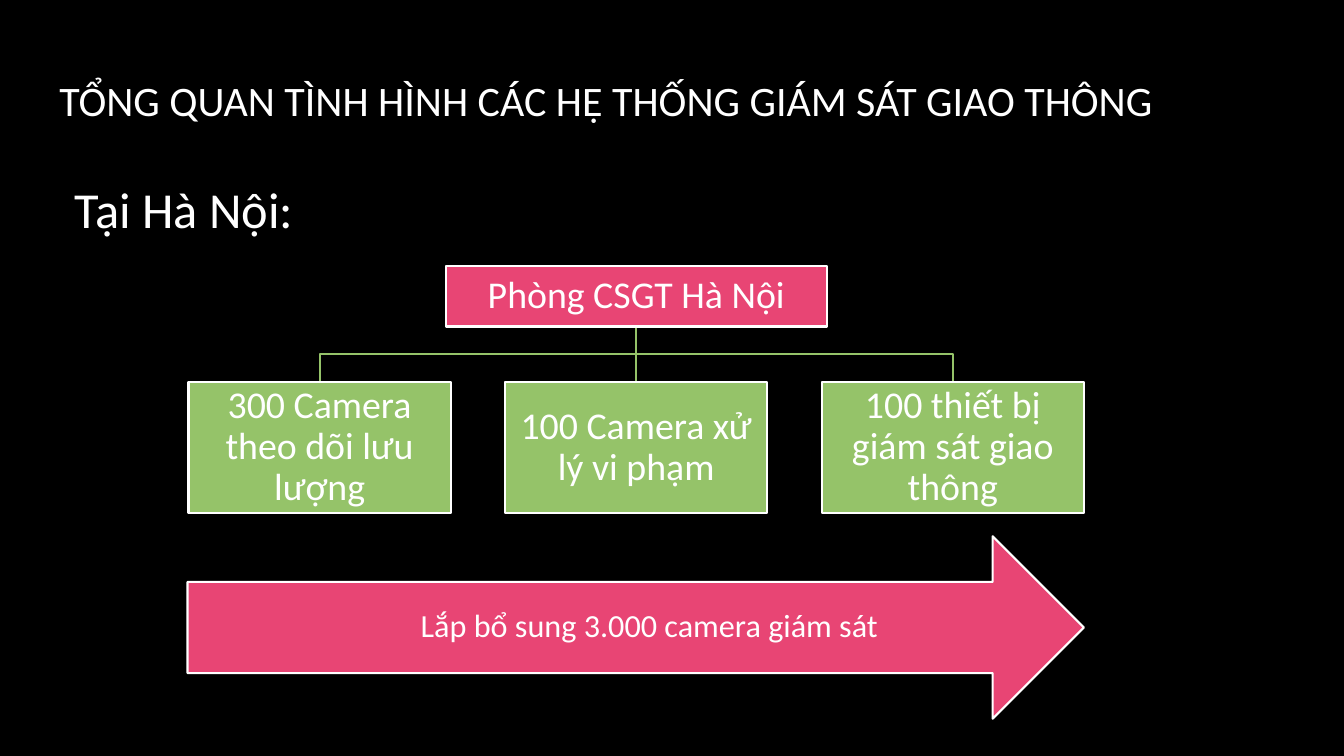
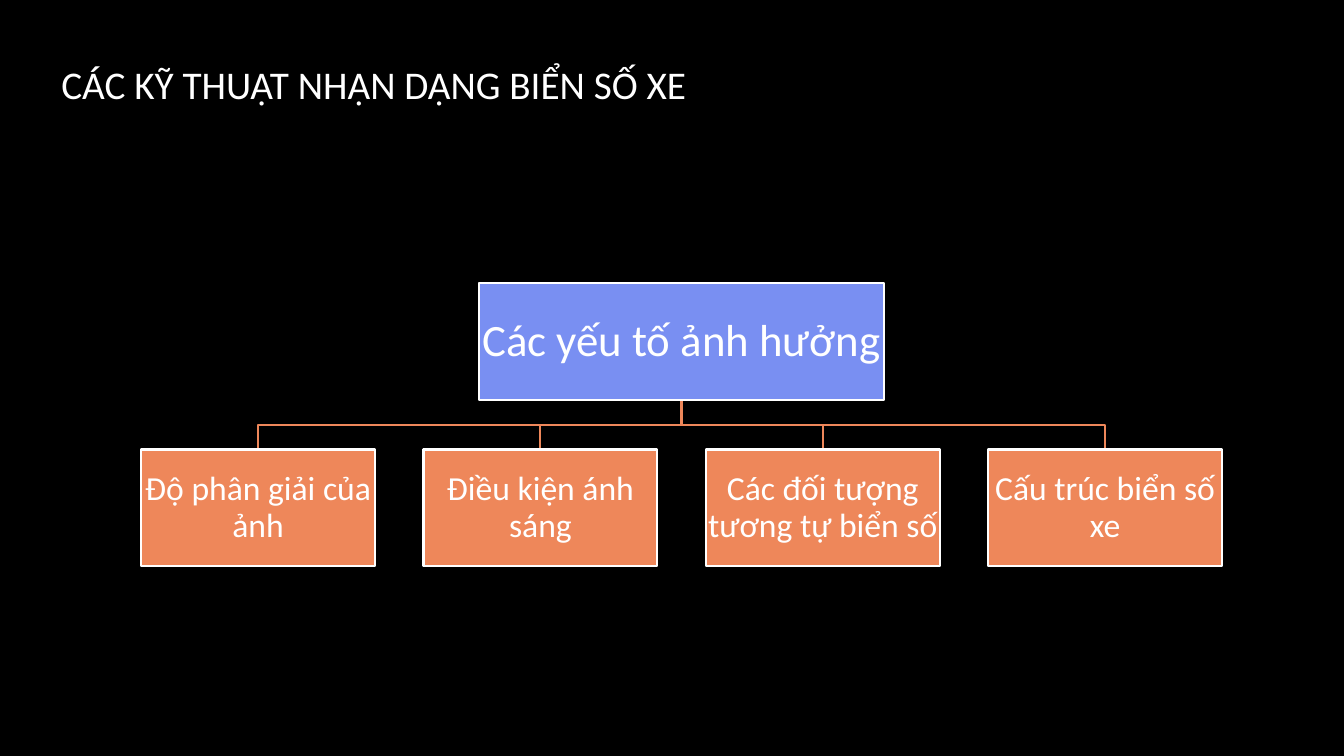
import pptx
import pptx.util
from lxml import etree
from pptx.dml.color import RGBColor
from pptx.enum.shapes import MSO_CONNECTOR, MSO_SHAPE
from pptx.enum.text import MSO_ANCHOR, PP_ALIGN
from pptx.oxml.ns import qn

Inches = pptx.util.Inches
Pt = pptx.util.Pt

BLACK = RGBColor(0x00, 0x00, 0x00)
WHITE = RGBColor(0xFF, 0xFF, 0xFF)
PINK = RGBColor(0xE8, 0x45, 0x74)
GREEN = RGBColor(0x95, 0xC3, 0x69)
BLUE = RGBColor(0x79, 0x8F, 0xF2)
ORANGE = RGBColor(0xEE, 0x87, 0x5A)
FONT = "Calibri"
LINE_WIDTH = Pt(1.5)
INSET = 0.02
QUARTER_TURN = 90 * 60000


def new_slide(deck):
    slide = deck.slides.add_slide(deck.slide_layouts[6])
    slide.background.fill.solid()
    slide.background.fill.fore_color.rgb = BLACK
    return slide


def write(paragraph, text, size):
    run = paragraph.add_run()
    run.text = text
    run.font.name = FONT
    run.font.size = Pt(size)
    run.font.color.rgb = WHITE


def add_text(slide, text, left, top, width, height, size, anchor):
    frame = slide.shapes.add_textbox(
        Inches(left), Inches(top), Inches(width), Inches(height)).text_frame
    frame.word_wrap = True
    frame.vertical_anchor = anchor
    write(frame.paragraphs[0], text, size)


def add_title(slide, text, left, top, width, height, size):
    add_text(slide, text, left, top, width, height, size, MSO_ANCHOR.MIDDLE)


def add_block(slide, preset, text, left, top, width, height, fill, size):
    """Add a filled, white-edged shape with centred text."""
    block = slide.shapes.add_shape(
        preset, Inches(left), Inches(top), Inches(width), Inches(height))
    block.shadow.inherit = False
    block.fill.solid()
    block.fill.fore_color.rgb = fill
    block.line.color.rgb = WHITE
    block.line.width = LINE_WIDTH
    frame = block.text_frame
    frame.word_wrap = True
    frame.vertical_anchor = MSO_ANCHOR.MIDDLE
    frame.margin_left = frame.margin_right = Inches(INSET)
    frame.margin_top = frame.margin_bottom = Inches(INSET)
    paragraph = frame.paragraphs[0]
    paragraph.alignment = PP_ALIGN.CENTER
    paragraph.line_spacing = 0.9
    write(paragraph, text, size)
    return block


def add_branch(slide, x1, y1, x2, y2, color):
    """Add a line from root to leaf: straight if the leaf is right below, else an elbow."""
    kind = MSO_CONNECTOR.STRAIGHT if x1 == x2 else MSO_CONNECTOR.ELBOW
    branch = slide.shapes.add_connector(
        kind, Inches(x1), Inches(y1), Inches(x2), Inches(y2))
    branch.line.color.rgb = color
    branch.line.width = LINE_WIDTH
    etree.SubElement(branch._element.spPr, qn("a:effectLst"))
    return branch


def join_branch(branch, root, leaf):
    """Glue both ends, then turn an elbow so that it leaves the root downwards."""
    branch.begin_connect(root, 2)
    branch.end_connect(leaf, 0)
    across = leaf.left + leaf.width // 2 - root.left - root.width // 2
    if abs(across) < Inches(0.01):
        return
    start_y = root.top + root.height
    drop = leaf.top - start_y
    center_x = root.left + root.width // 2 + across // 2
    center_y = start_y + drop // 2
    branch.width, branch.height = drop, abs(across)
    branch.left = center_x - drop // 2
    branch.top = center_y - abs(across) // 2
    xfrm = branch._element.spPr.find(qn("a:xfrm"))
    to_right = across > 0
    xfrm.set("rot", str(QUARTER_TURN * (3 if to_right else 1)))
    xfrm.set("flipH", "1" if to_right else "0")
    xfrm.set("flipV", "0")


def add_tree(slide, root_text, root_top, root_size, root_fill, root_font,
             leaf_texts, leaf_left, leaf_top, leaf_size, pitch, leaf_fill, leaf_font):
    """Add a root box centred over a row of leaves, joined by lines in the leaf colour."""
    root_width, root_height = root_size
    leaf_width, leaf_height = leaf_size
    centers = [round(leaf_left + leaf_width / 2 + i * pitch, 2)
               for i in range(len(leaf_texts))]
    middle = round((centers[0] + centers[-1]) / 2, 2)
    root_bottom = root_top + root_height

    branches = [add_branch(slide, middle, root_bottom, x, leaf_top, leaf_fill)
                for x in centers]
    root = add_block(slide, MSO_SHAPE.RECTANGLE, root_text, middle - root_width / 2,
                     root_top, root_width, root_height, root_fill, root_font)
    for text, center, branch in zip(leaf_texts, centers, branches):
        leaf = add_block(slide, MSO_SHAPE.RECTANGLE, text, center - leaf_width / 2,
                         leaf_top, leaf_width, leaf_height, leaf_fill, leaf_font)
        join_branch(branch, root, leaf)


def build_hanoi_overview(deck):
    slide = new_slide(deck)
    add_title(slide, "TỔNG QUAN TÌNH HÌNH CÁC HỆ THỐNG GIÁM SÁT GIAO THÔNG",
              0.49, 0.66, 12.84, 0.65, 30)
    add_tree(slide, "Phòng CSGT Hà Nội", 2.64, (3.78, 0.6), PINK, 27,
             ["300 Camera theo dõi lưu lượng",
              "100 Camera xử lý vi phạm",
              "100 thiết bị giám sát giao thông"],
             1.87, 3.79, (2.6, 1.3), 3.14, GREEN, 27)
    expansion = add_block(slide, MSO_SHAPE.RIGHT_ARROW, "Lắp bổ sung 3.000 camera giám sát",
                          1.86, 5.32, 8.89, 1.81, PINK, 23)
    expansion.text_frame.margin_left = Inches(0.75)
    add_text(slide, "Tại Hà Nội:", 0.64, 1.72, 11.08, 0.75, 36, MSO_ANCHOR.TOP)


def build_recognition_factors(deck):
    slide = new_slide(deck)
    add_title(slide, "CÁC KỸ THUẬT NHẬN DẠNG BIỂN SỐ XE", 0.51, 0.29, 11.08, 1.08, 28)
    add_tree(slide, "Các yếu tố ảnh hưởng", 2.81, (4.02, 1.16), BLUE, 32,
             ["Độ phân giải của ảnh",
              "Điều kiện ánh sáng",
              "Các đối tượng tương tự biển số",
              "Cấu trúc biển số xe"],
             1.4, 4.46, (2.32, 1.16), 2.8, ORANGE, 24)


def main():
    deck = pptx.Presentation()
    deck.slide_width = Inches(13.33)
    deck.slide_height = Inches(7.5)
    build_hanoi_overview(deck)
    build_recognition_factors(deck)
    deck.save("out.pptx")


if __name__ == "__main__":
    main()
